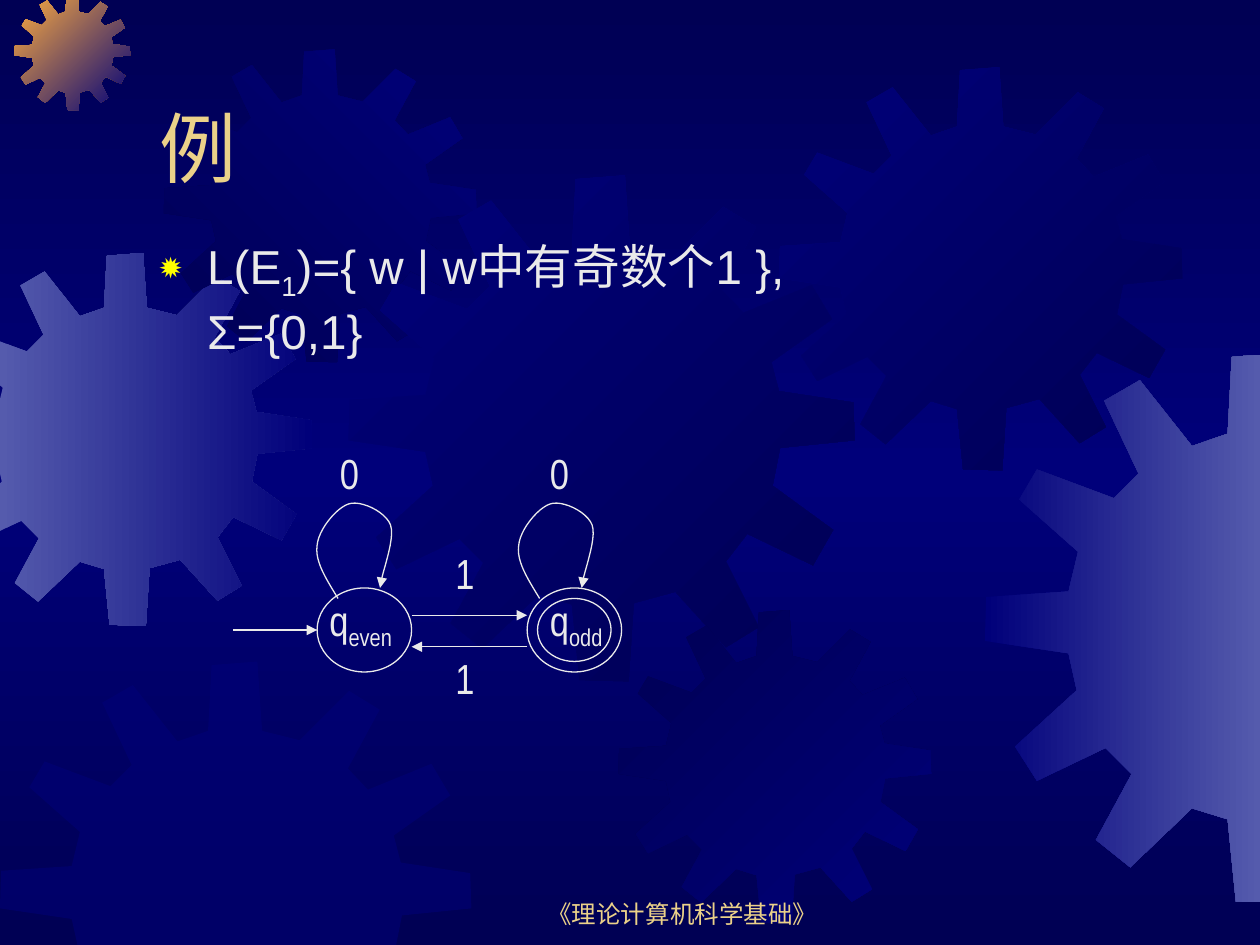
from collections import namedtuple
from copy import deepcopy
from itertools import chain

from pptx import Presentation
from pptx.dml.color import RGBColor
from pptx.enum.shapes import MSO_CONNECTOR as LINK, MSO_SHAPE as SHAPE
from pptx.enum.text import MSO_ANCHOR as ANCHOR, MSO_AUTO_SIZE as FIT, PP_ALIGN as ALIGN
from pptx.oxml.ns import qn
from pptx.oxml.xmlchemy import OxmlElement as Node
from pptx.util import Inches, Pt

NAVY = RGBColor(0x00, 0x00, 0x54)
BLUE = RGBColor(0x00, 0x00, 0x7A)
STEEL = RGBColor(0x55, 0x5B, 0xAD)
AMBER = RGBColor(0xFC, 0xAB, 0x40)
GOLD = RGBColor(0xEB, 0xD1, 0x89)
PALE = RGBColor(0xEA, 0xEA, 0xEA)

Box = namedtuple("Box", "x y w h")
CELL = Inches(1) // 12  # the slide is a grid of 120 columns and 90 rows
PAGE = Box(0, 0, 120, 90)

# Twelve-toothed gear outline on a square of SPAN units
SPAN = 401
GEAR = [
    (255, 67), (223, 59), (219, 0), (180, 3), (177, 59), (151, 68), (113, 20), (87, 35),
    (112, 88), (94, 106), (38, 85), (25, 107), (68, 145), (61, 174), (1, 178), (0, 210),
    (61, 219), (67, 246), (22, 287), (38, 312), (88, 288), (107, 307), (81, 355), (106, 375),
    (151, 332), (177, 340), (183, 400), (222, 401), (226, 339), (259, 330), (299, 374),
    (325, 358), (299, 306), (316, 284), (368, 309), (384, 281), (336, 246), (342, 216),
    (401, 210), (400, 180), (341, 171), (335, 148), (383, 114), (367, 87), (313, 109),
    (296, 91), (323, 41), (297, 25),
]
# Left, top and size in cells, then the two gradient colours and the clockwise angle
GEARS = [
    (-5.76, 24.1, 35.5, STEEL, BLUE, 0),
    (1.4, -0.5, 11, AMBER, BLUE, 45),
    (15.6, 4.7, 29.8, NAVY, BLUE, 315),
    (33.2, 16.7, 48.2, BLUE, NAVY, 45),
    (0, 63, 44.9, BLUE, None, 0),
    (58.9, 58.1, 29.8, NAVY, BLUE, 45),
    (74.2, 6.4, 38.4, BLUE, NAVY, 45),
    (93.8, 33.6, 52.4, BLUE, STEEL, 0),
]


def clip(points, box):
    """Cut a polygon to the part inside the box."""
    sides = [(0, 1, box.x), (0, -1, box.x + box.w), (1, 1, box.y), (1, -1, box.y + box.h)]
    for axis, sign, edge in sides:
        kept = []
        for a, b in zip(points[-1:] + points[:-1], points):
            da, db = sign * (a[axis] - edge), sign * (b[axis] - edge)
            if da * db < 0:
                t = da / (da - db)
                kept.append((a[0] + t * (b[0] - a[0]), a[1] + t * (b[1] - a[1])))
            if db >= 0:
                kept.append(b)
        points = kept
    return points


def trace(slide, points, close):
    first, *rest = [(round(x * CELL), round(y * CELL)) for x, y in points]
    pen = slide.shapes.build_freeform(*first, scale=1.0)
    pen.add_line_segments(rest, close=close)
    shape = pen.convert_to_shape()
    shape.shadow.inherit = False
    return shape


def blend(fill, colors, angle):
    fill.gradient()
    fill.gradient_angle = -angle % 360
    for stop, color in zip(fill.gradient_stops, colors):
        stop.color.rgb = color


def add_back(slide):
    fill = slide.background.fill
    blend(fill, (NAVY, BLUE), 90)
    stops = slide.element.find(".//" + qn("a:gsLst"))
    stops.append(deepcopy(stops[0]))
    for stop, place in zip(fill.gradient_stops, (0, 0.5, 1)):
        stop.position = place


def add_gear(slide, box, start, end, angle):
    points = [(box.x + x * box.w / SPAN, box.y + y * box.h / SPAN) for x, y in GEAR]
    gear = trace(slide, clip(points, PAGE), True)
    gear.line.fill.background()
    if end:
        blend(gear.fill, (start, end), angle)
        return
    gear.fill.solid()
    gear.fill.fore_color.rgb = start
    alpha = Node("a:alpha")
    alpha.set("val", "50000")
    gear.element.spPr.find(".//" + qn("a:srgbClr")).append(alpha)


def add_text(slide, box, parts, size, color, face="Arial", anchor=ANCHOR.TOP):
    """Write one paragraph; every second part is a subscript."""
    area = slide.shapes.add_textbox(*(round(v * CELL) for v in box))
    frame = area.text_frame
    frame.word_wrap = True
    frame.vertical_anchor = anchor
    para = frame.paragraphs[0]
    for i, part in enumerate(parts):
        run = para.add_run()
        run.text = part
        run.font.size, run.font.name = Pt(size), face
        run.font.color.rgb = color
        if i % 2:
            run.font.element.set("baseline", "-25000") if hasattr(run.font, "element") \
                else run._r.get_or_add_rPr().set("baseline", "-25000")
    return frame


def add_body(slide, box):
    parts = ["L(E", "1", ")={ w | w中有奇数个1 }, Σ={0,1}"]
    para = add_text(slide, box, parts, 27.2, PALE).paragraphs[0]
    props = para._p.get_or_add_pPr()
    props.set("marL", str(Inches(0.38)))
    props.set("indent", str(-Inches(0.38)))
    tint, size, mark = Node("a:buClr"), Node("a:buSzPct"), Node("a:buChar")
    rgb = Node("a:srgbClr")
    rgb.set("val", "FFFF00")
    tint.append(rgb)
    size.set("val", "80000")
    mark.set("char", "✹")
    props.extend([tint, size, mark])


def ink(shape, arrow=False):
    shape.line.color.rgb = PALE
    shape.line.width = Pt(0.75)
    if arrow:
        tip = Node("a:tailEnd")
        tip.set("type", "triangle")
        shape.line._get_or_add_ln().append(tip)


def add_ring(slide, box):
    ring = slide.shapes.add_shape(SHAPE.OVAL, *(round(v * CELL) for v in box))
    ring.shadow.inherit = False
    ring.fill.background()
    ink(ring)


def add_arrow(slide, *ends):
    arrow = slide.shapes.add_connector(LINK.STRAIGHT, *(round(v * CELL) for v in ends))
    ink(arrow, True)
    arrow.element.spPr.append(Node("a:effectLst"))


def curve(a, b, c, d, steps=12):
    """Points along a cubic curve, without its start."""
    for i in range(1, steps + 1):
        t = i / steps
        u = 1 - t
        yield tuple(u**3 * p + 3 * u * u * t * q + 3 * u * t * t * r + t**3 * s
                    for p, q, r, s in zip(a, b, c, d))


def add_loop(slide, x, y):
    knots = [(2, 9), (0.9, 7.2), (-0.2, 5.5), (0, 4), (0.1, 2.5), (1.8, 0.4), (3, 0),
             (4.1, -0.4), (6.5, 0.7), (7, 2), (7.5, 3.4), (6, 7), (6, 8)]
    knots = [(x + dx, y + dy) for dx, dy in knots]
    bends = (curve(*knots[i:i + 4]) for i in range(0, 12, 3))
    loop = trace(slide, [knots[0], *chain.from_iterable(bends)], False)
    loop.fill.background()
    ink(loop, True)


def add_graph(slide, box):
    """Two-state automaton: even, and the accepting state odd."""
    x, y = box.x, box.y
    for col in (8, 28):
        add_ring(slide, Box(x + col, y + 14, 9, 8))
    add_ring(slide, Box(x + 29, y + 15, 7, 6))
    for start, end, row in ((0, 8, 18), (17, 28, 16.6), (28, 17, 19.6)):
        add_arrow(slide, x + start, y + row, x + end, y + row)
    for col in (8, 27.2):
        add_loop(slide, x + col, y + 6)
    labels = [(8, 14, 9, ["q", "even"]), (29, 14, 9, ["q", "odd"]), (9, 0, 6, ["0"]),
              (29, 0, 6, ["0"]), (20, 9.6, 6, ["1"]), (20, 19.6, 6, ["1"])]
    for col, row, wide, parts in labels:
        spot = Box(x + col, y + row, wide, 6)
        frame = add_text(slide, spot, parts, 24, PALE, "Arial Narrow")
        frame.auto_size = FIT.SHAPE_TO_FIT_TEXT


def main():
    deck = Presentation()
    deck.slide_width, deck.slide_height = PAGE.w * CELL, PAGE.h * CELL
    slide = deck.slides.add_slide(deck.slide_layouts[6])
    add_back(slide)
    for x, y, size, *paint in GEARS:
        add_gear(slide, Box(x, y, size, size), *paint)
    foot = add_text(slide, Box(46, 83, 38, 6), ["《理论计算机科学基础》"], 14, GOLD, anchor=ANCHOR.BOTTOM)
    foot.paragraphs[0].alignment = ALIGN.CENTER
    add_text(slide, Box(14, 4, 102, 15), ["例"], 44, GOLD, anchor=ANCHOR.BOTTOM)
    add_body(slide, Box(14, 22, 72.5, 13))
    add_graph(slide, Box(22.2, 42, 38, 26))
    deck.save("out.pptx")


if __name__ == "__main__":
    main()
